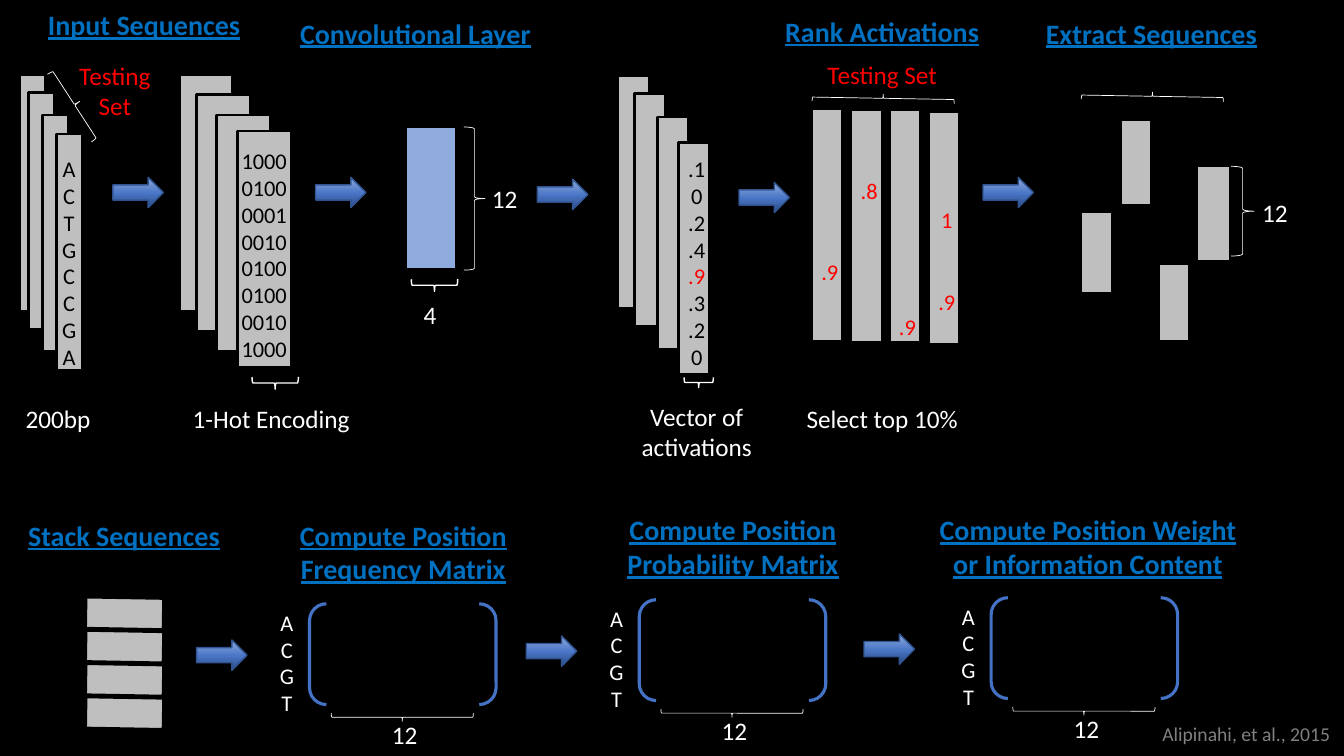
from dataclasses import dataclass
from pptx import Presentation
from pptx.dml.color import RGBColor
from pptx.enum.shapes import MSO_SHAPE
from pptx.enum.text import PP_ALIGN
from pptx.oxml import parse_xml
from pptx.oxml.ns import nsdecls
from pptx.util import Inches, Pt

RECT = MSO_SHAPE.RECTANGLE
ARROW = MSO_SHAPE.RIGHT_ARROW
LEFT_BRACE = MSO_SHAPE.LEFT_BRACE
RIGHT_BRACE = MSO_SHAPE.RIGHT_BRACE
BRACKETS = MSO_SHAPE.DOUBLE_BRACKET
CENTER, LEFT = PP_ALIGN.CENTER, PP_ALIGN.LEFT


@dataclass(frozen=True)
class Theme:
    font: str = "Calibri"
    black: str = "000000"
    white: str = "FFFFFF"
    grey: str = "BFBFBF"
    cite: str = "808080"
    red: str = "FF0000"
    head: str = "0070C0"
    kernel: str = "8FAADC"
    bracket: str = "4472C4"
    edge: str = "325491"
    shades: tuple = ((0, "2A4B86"), (48, "4A76C6"), (100, "8FAADC"))
    head_size: int = 20
    size: int = 18
    code_size: int = 16
    cite_size: int = 14


T = Theme()
prs = Presentation()
prs.slide_width, prs.slide_height = Inches(13.33), Inches(7.5)
slide = prs.slides.add_slide(prs.slide_layouts[6])
slide.background.fill.solid()
slide.background.fill.fore_color.rgb = RGBColor.from_string(T.black)


def draw(kind, x, y, w, h, fill=None, line=T.white, width=0.5, turn=0):
    shape = slide.shapes.add_shape(kind, Inches(x), Inches(y), Inches(w), Inches(h))
    shape.shadow.inherit = False
    shape.rotation = turn
    if fill:
        shape.fill.solid()
        shape.fill.fore_color.rgb = RGBColor.from_string(fill)
    else:
        shape.fill.background()
    shape.line.color.rgb = RGBColor.from_string(line)
    shape.line.width = Pt(width)
    return shape


def write(lines, x, y, w, h, color=T.white, size=T.size, head=False, align=CENTER, pad=0.1, hot=None):
    box = slide.shapes.add_textbox(Inches(x), Inches(y), Inches(w), Inches(h))
    frame = box.text_frame
    frame.word_wrap = True
    frame.margin_left = frame.margin_right = Inches(pad)
    for i, text in enumerate(lines):
        para = frame.paragraphs[0] if i == 0 else frame.add_paragraph()
        para.alignment = align
        run = para.add_run()
        run.text = text
        run.font.name = T.font
        run.font.size = Pt(size)
        run.font.color.rgb = RGBColor.from_string(T.red if i == hot else color)
        if head:
            run.font.bold = run.font.underline = True


# Headings
for text, x, y, w, h in (
    ("Input Sequences", 0.1, 0.03, 2.66, 0.44),
    ("Convolutional Layer", 2.77, 0.11, 2.7, 0.44),
    ("Rank Activations", 7.4, 0.09, 2.7, 0.44),
    ("Extract Sequences", 10.07, 0.11, 2.7, 0.44),
    ("Stack Sequences", -0.12, 5.09, 2.7, 0.44),
    ("Compute Position Frequency Matrix", 2.65, 5.09, 2.7, 0.77),
    ("Compute Position Probability Matrix", 5.92, 5.04, 2.7, 0.77),
    ("Compute Position Weight or Information Content", 9.08, 5.04, 3.42, 0.77),
):
    write([text], x, y, w, h, T.head, T.head_size, head=True)

# Layered cards: inputs, encodings, activations; then ranked columns and extracts
for w, h, spots in (
    (0.26, 2.35, ((0.19, 0.74), (0.28, 0.92), (0.42, 1.14), (0.56, 1.33))),
    (0.53, 2.35, ((1.78, 0.74), (1.95, 0.94), (2.15, 1.14), (2.36, 1.3))),
    (0.31, 2.31, ((6.13, 0.75), (6.29, 0.93), (6.52, 1.16), (6.73, 1.41))),
    (0.31, 2.31, ((8.05, 1.08), (8.44, 1.09), (8.82, 1.09), (9.21, 1.11))),
    (0.31, 0.81, ((10.72, 2.1),)),
    (0.31, 0.85, ((11.11, 1.19),)),
    (0.31, 0.77, ((11.49, 2.62),)),
    (0.33, 0.95, ((11.87, 1.64),)),
):
    for x, y in spots:
        draw(RECT, x, y, w, h, T.grey, T.black, 2)

# Convolution kernel
draw(RECT, 4.02, 1.26, 0.51, 1.41, T.kernel, T.black, 2)

# Card contents
codes = ["1000", "0100", "0001", "0010", "0100", "0100", "0010", "1000"]
scores = [".1", "0", ".2", ".4", ".9", ".3", ".2", "0"]
for lines, x, y, w, hot in (
    ("ACTGCCGA", 0.53, 1.49, 0.31, None),
    (codes, 2.27, 1.41, 0.7, None),
    (scores, 6.71, 1.49, 0.4, 4),
):
    write(lines, x, y, w, 2.26, T.black, T.code_size, pad=0, hot=hot)

# Top scores, placed by row within each ranked column
ROW = 0.27
for text, x, top, row in (
    (".9", 8.03, 1.16, 5),
    (".8", 8.42, 1.17, 2),
    (".9", 8.8, 1.17, 7),
    ("1", 9.19, 1.19, 3),
    (".9", 9.19, 1.19, 6),
):
    write([text], x, top + row * ROW, 0.4, 0.37, T.red, T.code_size, pad=0)

# Captions
for lines, x, y, w, h, color in (
    (["200bp"], 0.04, 3.95, 1.07, 0.4, T.white),
    (["1-Hot Encoding"], 1.56, 3.95, 2.26, 0.4, T.white),
    (["4"], 4, 2.92, 0.53, 0.4, T.white),
    (["12"], 4.74, 1.77, 0.53, 0.4, T.white),
    (["Vector of activations"], 5.78, 3.93, 2.26, 0.71, T.white),
    (["Select top 10%"], 7.62, 3.95, 2.26, 0.4, T.white),
    (["12"], 12.38, 1.91, 0.53, 0.4, T.white),
    (["Testing", "Set"], 0.01, 0.55, 2.26, 0.71, T.red),
    (["Testing Set"], 7.51, 0.54, 2.48, 0.4, T.red),
):
    write(lines, x, y, w, h, color)

# Braces
for x, y, w, h in ((2.67, 3.57, 0.12, 0.46), (4.25, 2.6, 0.12, 0.46), (6.88, 3.65, 0.1, 0.29)):
    draw(LEFT_BRACE, x, y, w, h, width=1, turn=270)
for x, y, w, h, turn in (
    (0.68, 0.64, 0.12, 0.8, 327),
    (4.6, 1.26, 0.21, 1.42, 0),
    (8.72, 0.27, 0.08, 1.41, 271),
    (11.39, 0.25, 0.08, 1.41, 271),
    (12.21, 1.65, 0.23, 0.89, 0),
):
    draw(RIGHT_BRACE, x, y, w, h, turn=turn)

# Stacked sequences
for i in range(4):
    draw(RECT, 1.08, 5.7 + i * 0.33, 0.31, 0.77, T.grey, T.black, 2, turn=91)

# Matrices
for x, y in ((3.07, 5.99), (6.34, 5.95), (9.83, 5.93)):
    draw(BRACKETS, x, y, 1.85, 1, line=T.bracket, width=2.25)
    write("ACGT", x - 0.38, y, 0.31, 1.18, size=T.code_size, pad=0)
    draw(RIGHT_BRACE, x + 0.88, y + 0.42, 0.08, 1.41, turn=90)
    write(["12"], x + 0.68, y + 1.1, 0.53, 0.4)

# Flow arrows with a vertical gradient
stops = "".join(
    f'<a:gs pos="{pos * 1000}"><a:srgbClr val="{color}"/></a:gs>' for pos, color in T.shades
)
for x, y in (
    (1.12, 1.76), (3.13, 1.76), (5.33, 1.78), (7.33, 1.81), (9.75, 1.76),
    (1.95, 6.35), (5.22, 6.31), (8.57, 6.29),
):
    arrow = draw(ARROW, x, y, 0.5, 0.3, line=T.edge, width=1)
    props = arrow.fill._xPr
    props.replace(props.find("{*}noFill"), parse_xml(
        f'<a:gradFill {nsdecls("a")}><a:gsLst>{stops}</a:gsLst>'
        '<a:lin ang="16200000" scaled="0"/></a:gradFill>'))

# Citation
write(["Alipinahi, et al., 2015"], 11.43, 7.11, 1.9, 0.34, T.cite, T.cite_size, align=LEFT)

prs.save("out.pptx")
